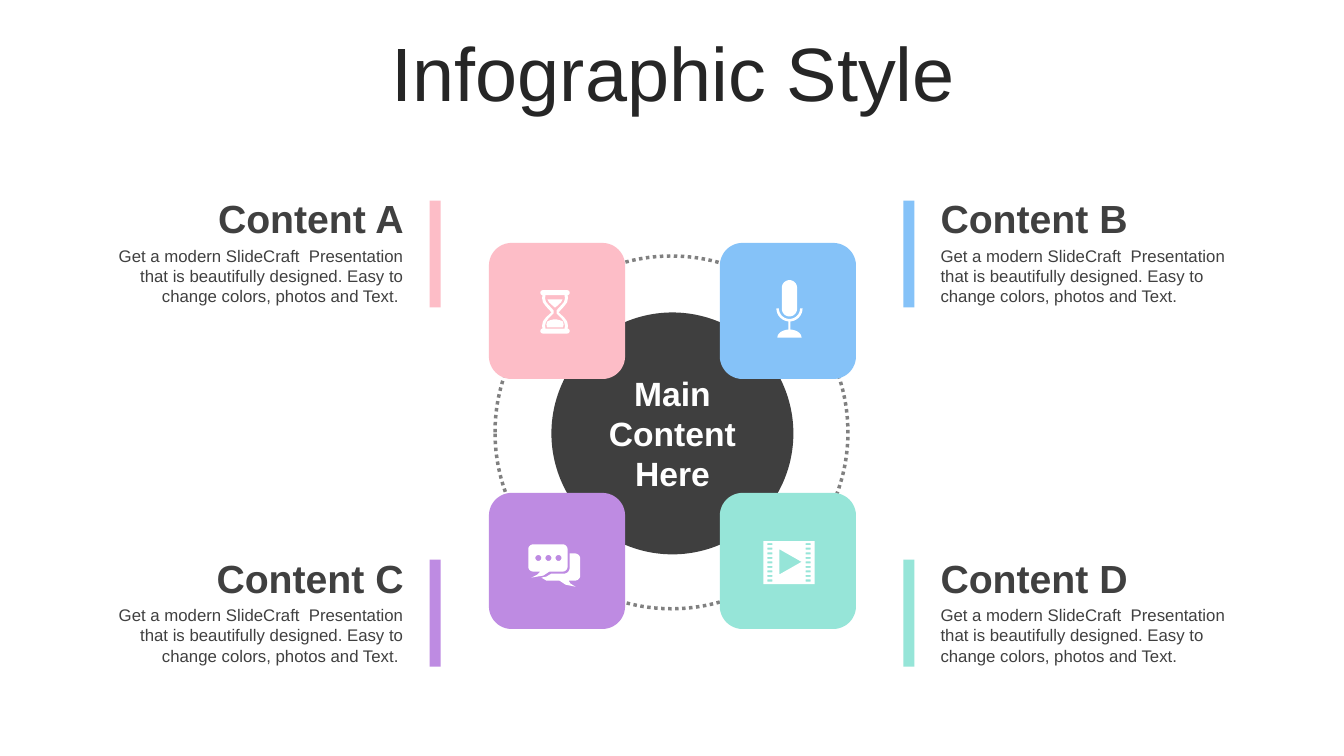
from collections import namedtuple
from math import cos, radians, sin

from pptx import Presentation
from pptx.dml.color import RGBColor
from pptx.enum.dml import MSO_LINE
from pptx.enum.shapes import MSO_SHAPE
from pptx.enum.text import MSO_ANCHOR, PP_ALIGN
from pptx.util import Inches, Pt

Box = namedtuple("Box", "left top width height")
OVAL, BAR, CARD = MSO_SHAPE.OVAL, MSO_SHAPE.RECTANGLE, MSO_SHAPE.ROUNDED_RECTANGLE
LEFT, CENTER, RIGHT = PP_ALIGN.LEFT, PP_ALIGN.CENTER, PP_ALIGN.RIGHT
TOP, MIDDLE = MSO_ANCHOR.TOP, MSO_ANCHOR.MIDDLE
DOTS = MSO_LINE.ROUND_DOT
COLORS = {
    "title": "262626", "text": "404040", "core": "3F3F3F", "ring": "808080",
    "white": "FFFFFF", "pink": "FDBDC7", "blue": "85C2F8",
    "purple": "BE8BE2", "mint": "96E5D8",
}
FONT = "Arial"
BODY = ("Get a modern SlideCraft  Presentation that is beautifully designed. "
        "Easy to change colors, photos and Text.")


def color(name):
    """Return a named colour."""
    return RGBColor.from_string(COLORS[name])


def part(box, left, top, width, height):
    """Return a box placed inside another by percentages of its size."""
    return Box(int(box.left + box.width * left / 100),
               int(box.top + box.height * top / 100),
               int(box.width * width / 100), int(box.height * height / 100))


def add_filled(slide, kind, box, fill):
    """Add a preset shape with a plain fill and no outline."""
    shape = slide.shapes.add_shape(kind, *box)
    shape.shadow.inherit = False
    shape.fill.solid()
    shape.fill.fore_color.rgb = color(fill)
    shape.line.fill.background()
    return shape


def add_text(slide, box, lines, size, ink, align, anchor=MIDDLE, bold=False):
    """Add a wrapped text box with one paragraph per line and return its paragraphs."""
    frame = slide.shapes.add_textbox(*box).text_frame
    frame.word_wrap = True
    frame.vertical_anchor = anchor
    for index, line in enumerate(lines):
        para = frame.add_paragraph() if index else frame.paragraphs[0]
        para.alignment = align
        span = para.add_run()
        span.text = line
        span.font.name = FONT
        span.font.size = Pt(size)
        span.font.bold = bold
        span.font.color.rgb = color(ink)
    return frame.paragraphs


def arc(x, y, across, down, start, end):
    """Return points along an elliptical arc, with angles in degrees."""
    angles = [radians(start + (end - start) * step / 16) for step in range(17)]
    return [(x + across * cos(angle), y + down * sin(angle)) for angle in angles]


def block(left, top, width, height):
    """Return the corners of a rectangle."""
    return [(left, top), (left + width, top),
            (left + width, top + height), (left, top + height)]


def rounded(left, top, width, height, radius, tail=()):
    """Return a rounded rectangle with an optional tail on its bottom edge."""
    near_x, far_x = left + radius, left + width - radius
    near_y, far_y = top + radius, top + height - radius
    return (arc(far_x, far_y, radius, radius, 0, 90) + list(tail)
            + arc(near_x, far_y, radius, radius, 90, 180)
            + arc(near_x, near_y, radius, radius, 180, 270)
            + arc(far_x, near_y, radius, radius, 270, 360))


def mirrored(points, width):
    """Close a right-hand profile with its mirror image."""
    return points + [(width - x, y) for x, y in reversed(points)]


def hourglass():
    """Return the contours of an hourglass."""
    glass = [(27, 5), (27.3, 8), (26.5, 12), (23.5, 16), (18, 22),
             (23.5, 27), (26.5, 31), (27.3, 35), (27, 38)]
    inside = [(24, 5), (24.3, 8), (23.5, 11.5), (21, 14.5), (16, 20),
              (16, 23), (21, 28), (23.5, 31.5), (24.3, 35), (24, 38)]
    upper_sand = [(22, 9), (20.5, 12), (15, 17)]
    lower_sand = [(16, 29), (20, 30), (22.5, 31.2), (23, 34), (22.5, 37)]
    return ([rounded(0, top, 29, 5, 2.5) for top in (0, 38)]
            + [mirrored(half, 29) for half in (glass, inside, upper_sand, lower_sand)])


def microphone():
    """Return the contours of a microphone on a stand."""
    holder = arc(13, 28, 13, 13, 0, 180) + arc(13, 28, 10.5, 10.5, 180, 0)
    return [rounded(5.5, 0, 15, 36, 7.5), holder, block(12, 41, 2, 8),
            arc(13, 57, 12, 8, 180, 360)]


def chat():
    """Return the contours of two speech bubbles."""
    tail = [(21, 27), (15, 31), (3, 33), (9, 30), (12, 27)]
    back = (arc(46, 14, 5.5, 5, 270, 360) + arc(46, 31, 5.5, 5, 0, 90)
            + [(40, 36), (42, 39), (47, 42), (37, 40), (31, 36), (18, 36),
               (13, 33), (18, 32), (23, 29)]
            + arc(35.5, 23.5, 5.5, 5.5, 90, 0) + [(41, 9)])
    dots = [arc(x, 13.5, 3, 3, 0, 360) for x in (10, 20, 30)]
    return [rounded(0, 0, 39, 27, 5, tail), back] + dots


def film():
    """Return the contours of a film frame with a play mark."""
    holes = [block(x, 2 + 4.5 * row, 5, 2) for x in (4, 42) for row in range(9)]
    return [block(0, 0, 51, 42.5), [(16, 8), (16, 33), (38, 20.5)]] + holes


def add_icon(slide, card, contours, left, top):
    """Draw white contours at a percentage offset inside a card."""
    unit = card.width / 135
    scaled = [[(x * unit, y * unit) for x, y in points] for points in contours]
    builder = slide.shapes.build_freeform(*scaled[0][0], scale=1.0)
    for index, points in enumerate(scaled):
        if index:
            builder.move_to(*points[0])
        builder.add_line_segments(points[1:], close=True)
    spot = part(card, left, top, 0, 0)
    icon = builder.convert_to_shape(spot.left, spot.top)
    icon.shadow.inherit = False
    icon.fill.solid()
    icon.fill.fore_color.rgb = color("white")
    icon.line.fill.background()


def add_title(slide, box):
    """Add the slide title."""
    para = add_text(slide, box, ["Infographic Style"], 54, "title", CENTER)[0]
    para.line_spacing = 0.9


def add_hub(slide, box, topics):
    """Add the core, the dotted ring and the four icon cards."""
    add_filled(slide, OVAL, part(box, 17.03, 18.02, 65.93, 62.66), "core")
    add_text(slide, part(box, 17.03, 32.11, 65.93, 34.2),
             ["Main", "Content", "Here"], 24, "white", CENTER, bold=True)
    ring = slide.shapes.add_shape(OVAL, *part(box, 1.65, 3.39, 96.15, 91.38))
    ring.shadow.inherit = False
    ring.fill.background()
    ring.line.color.rgb = color("ring")
    ring.line.width = Pt(2.5)
    ring.line.dash_style = DOTS
    width, height = 37.09, 35.25
    for index, (_, fill, contours, left, top) in enumerate(topics):
        row, column = divmod(index, 2)
        card = part(box, column * (100 - width), row * (100 - height), width, height)
        add_filled(slide, CARD, card, fill)
        add_icon(slide, card, contours, left, top)


def add_topic(slide, box, heading, fill, on_left):
    """Add a heading, body and colour bar, with the bar facing the hub."""
    text_left, bar_left = (0, 96.86) if on_left else (7.71, 0)
    align = RIGHT if on_left else LEFT
    body = BODY + " " if on_left else BODY
    add_text(slide, part(box, text_left, 0, 92.29, 46.72), [heading],
             28, "text", align, bold=True)
    add_text(slide, part(box, text_left, 41.8, 92.29, 58.2), [body],
             12, "text", align, TOP)
    add_filled(slide, BAR, part(box, bar_left, 9.02, 3.14, 86.89), fill)


def main():
    """Build and save the deck."""
    deck = Presentation()
    deck.slide_width, deck.slide_height = Inches(13.33), Inches(7.5)
    slide = deck.slides.add_slide(deck.slide_layouts[6])
    page = Box(0, 0, deck.slide_width, deck.slide_height)
    topics = [
        ("Content A", "pink", hourglass(), 37.8, 34.8),
        ("Content B", "blue", microphone(), 41.5, 27.4),
        ("Content C", "purple", chat(), 28.9, 37.8),
        ("Content D", "mint", film(), 31.9, 35.5),
    ]
    add_title(slide, part(page, 2.63, 4.93, 94.97, 10.53))
    add_hub(slide, part(page, 36.38, 32.13, 27.31, 51.07), topics)
    for index, (heading, fill, *_) in enumerate(topics):
        row, column = divmod(index, 2)
        box = part(page, (6.53, 67.22)[column], 25.07 + 47.5 * row, 26.26, 16.27)
        add_topic(slide, box, heading, fill, column == 0)
    deck.save("out.pptx")


if __name__ == "__main__":
    main()
